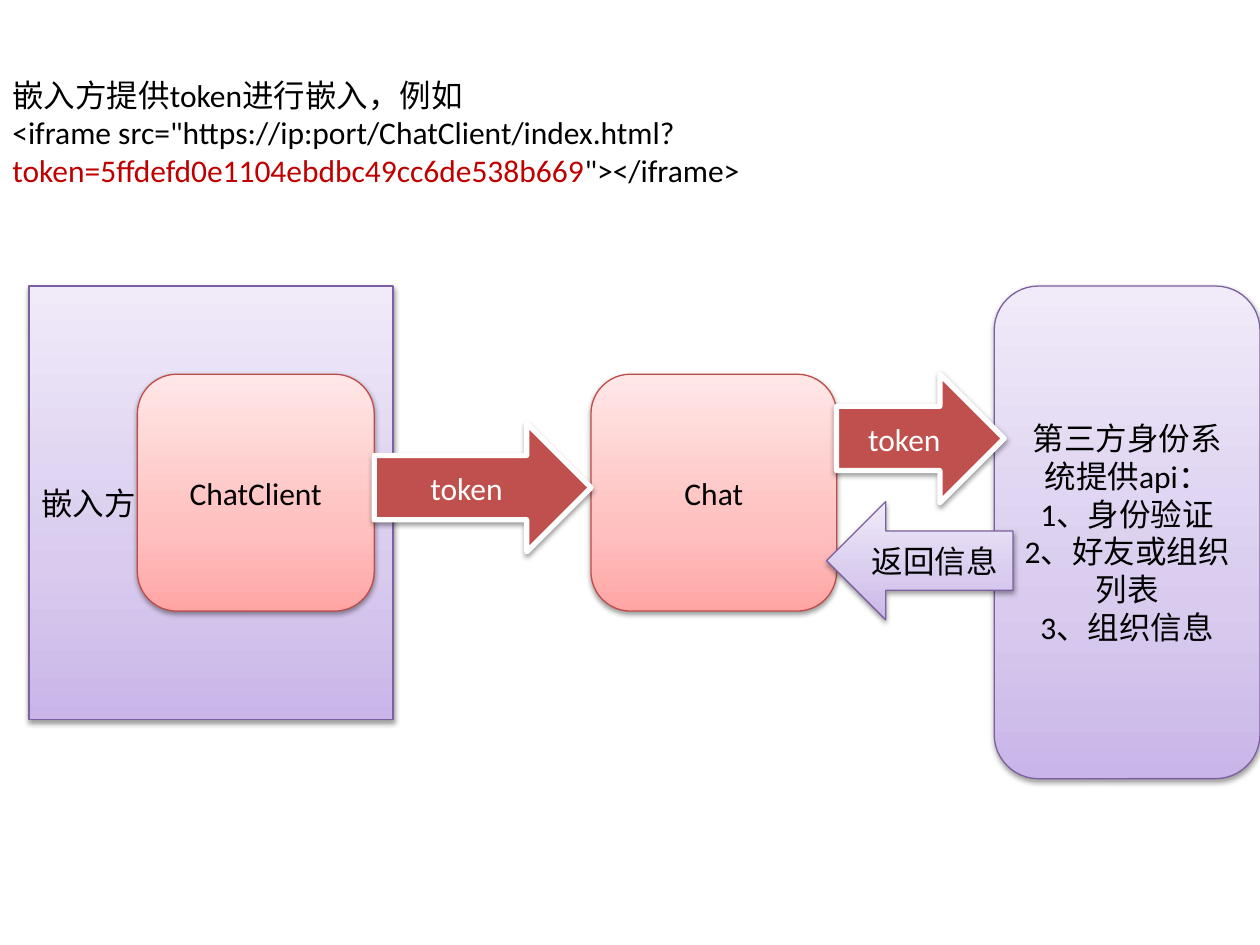
from copy import deepcopy

from lxml.etree import SubElement
from pptx import Presentation
from pptx.dml.color import RGBColor
from pptx.enum.shapes import MSO_SHAPE as Shape
from pptx.enum.text import MSO_ANCHOR as Anchor, MSO_AUTO_SIZE as AutoSize, PP_ALIGN as Align
from pptx.oxml.ns import qn
from pptx.util import Inches, Pt

THEME = {
    "font": "Calibri", "size": 18, "ink": "000000", "token": "C00000",
    "shadow": {"color": "000000", "alpha": 38, "blur": 3.1, "dist": 1.6},
    # Gradient stops run from bottom to top
    "purple": {"stops": [(0, "C9B5E8"), (0.35, "D8CBEE"), (1, "F0EAF9")],
               "line": "7D60A0", "width": 0.75, "ink": "000000"},
    "pink": {"stops": [(0, "FFA6A5"), (0.35, "FFC0BF"), (1, "FFE7E7")],
             "line": "BF4C48", "width": 0.75, "ink": "000000"},
    "red": {"solid": "C0504D", "line": "FFFFFF", "width": 3, "ink": "FFFFFF"},
}

# Intro: paragraphs of (text, colour key)
INTRO = [
    [("嵌入方提供token进行嵌入，例如", "ink")],
    [('<iframe src="https://ip:port/ChatClient/index.html?', "ink"),
     ("token=5ffdefd0e1104ebdbc49cc6de538b669", "token"),
     ('"></iframe>', "ink")],
]
INTRO_BOX = (0, 0.55, 10, 1.31)

# Systems: outline, style, alignment, (left, top, width, height), lines
HOST_TOP, CLIENT_TOP = 2.27, 2.97
HOST = (0.23, HOST_TOP, 2.89, 3.44)
CLIENT = (1.09, CLIENT_TOP, 1.88, 1.88)
CHAT = (4.69, CLIENT_TOP, 1.95, 1.88)
IDENTITY = (7.89, HOST_TOP, 2.11, 3.91)
SYSTEMS = [
    (Shape.RECTANGLE, "purple", Align.LEFT, HOST, ["嵌入方"]),
    (Shape.ROUNDED_RECTANGLE, "pink", Align.CENTER, CLIENT, ["ChatClient"]),
    (Shape.ROUNDED_RECTANGLE, "pink", Align.CENTER, CHAT, ["Chat"]),
    (Shape.ROUNDED_RECTANGLE, "purple", Align.CENTER, IDENTITY,
     ["第三方身份系统提供api：", "1、身份验证", "2、好友或组织列表", "3、组织信息"]),
]

# Messages start at the right edge of their sender; the reply overlaps both ends
client_right, chat_right = CLIENT[0] + CLIENT[2], CHAT[0] + CHAT[2]
REPLY_OVERLAP = 0.08
MESSAGES = [
    (Shape.RIGHT_ARROW, "red", Align.CENTER,
     (client_right, 3.36, CHAT[0] - client_right, 1.02), ["token"]),
    (Shape.RIGHT_ARROW, "red", Align.CENTER,
     (chat_right, CLIENT_TOP, 1.33, 1.02), ["token"]),
    (Shape.LEFT_ARROW, "purple", Align.CENTER,
     (chat_right - REPLY_OVERLAP, 3.98, 1.48, 0.94), ["返回信息"]),
]


def rgb(color):
    return RGBColor.from_string(color)


def write(frame, paragraphs, align):
    """Fill a frame with paragraphs of (text, colour) runs."""
    frame.word_wrap = True
    for index, pieces in enumerate(paragraphs):
        paragraph = frame.paragraphs[0] if index == 0 else frame.add_paragraph()
        paragraph.alignment = align
        for words, color in pieces:
            run = paragraph.add_run()
            run.text = words
            for name, value in {"name": THEME["font"], "size": Pt(THEME["size"])}.items():
                setattr(run.font, name, value)
            run.font.color.rgb = rgb(color)


def paint(fill, style):
    if "solid" in style:
        fill.solid()
        fill.fore_color.rgb = rgb(style["solid"])
        return
    fill.gradient()
    fill.gradient_angle = 90
    stop_list = fill._fill._gradFill.find(qn("a:gsLst"))
    stop_list.append(deepcopy(stop_list[0]))
    for stop, (position, color) in zip(fill.gradient_stops, style["stops"]):
        stop.position = position
        stop.color.rgb = rgb(color)


def cast_shadow(part):
    shadow = THEME["shadow"]
    part.shadow.inherit = False
    effects = part._element.spPr.find(qn("a:effectLst"))
    outer = SubElement(effects, qn("a:outerShdw"), blurRad=str(Pt(shadow["blur"])),
                       dist=str(Pt(shadow["dist"])), dir="5400000", rotWithShape="0")
    color = SubElement(outer, qn("a:srgbClr"), val=shadow["color"])
    SubElement(color, qn("a:alpha"), val=str(shadow["alpha"] * 1000))


def add_part(slide, outline, style_name, align, box, lines):
    style = THEME[style_name]
    part = slide.shapes.add_shape(outline, *map(Inches, box))
    paint(part.fill, style)
    part.line.color.rgb = rgb(style["line"])
    part.line.width = Pt(style["width"])
    cast_shadow(part)
    part.text_frame.vertical_anchor = Anchor.MIDDLE
    write(part.text_frame, [[(line, style["ink"])] for line in lines], align)


def main():
    deck = Presentation()
    deck.slide_width, deck.slide_height = Inches(10), Inches(7.5)
    slide = deck.slides.add_slide(deck.slide_layouts[6])

    # Systems
    for system in SYSTEMS:
        add_part(slide, *system)

    # Intro text
    intro = slide.shapes.add_textbox(*map(Inches, INTRO_BOX)).text_frame
    write(intro, [[(words, THEME[key]) for words, key in pieces] for pieces in INTRO],
          Align.LEFT)
    intro.auto_size = AutoSize.SHAPE_TO_FIT_TEXT

    # Messages between the systems
    for message in MESSAGES:
        add_part(slide, *message)

    deck.save("out.pptx")


if __name__ == "__main__":
    main()
